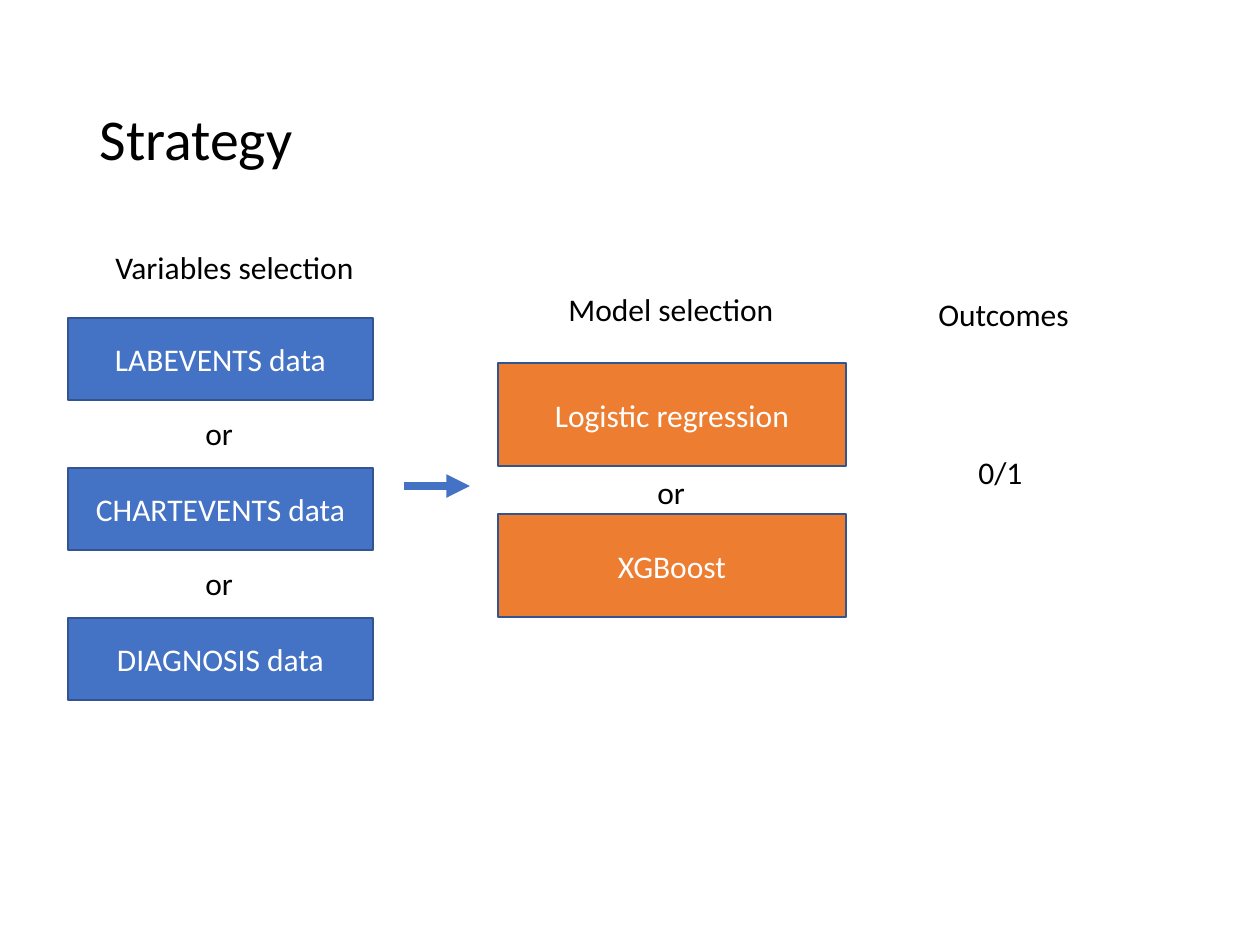
from lxml.etree import SubElement
from pptx import Presentation
from pptx.dml.color import RGBColor
from pptx.enum.shapes import MSO_CONNECTOR, MSO_SHAPE
from pptx.enum.text import MSO_ANCHOR, MSO_AUTO_SIZE, PP_ALIGN
from pptx.oxml.ns import qn
from pptx.util import Emu, Pt

SCALE = 914400 / 126
COLORS = {"text": "000000", "light": "FFFFFF", "data": "4472C4",
          "model": "ED7D31", "border": "325491"}
FONT = {"name": "Calibri", "size": Pt(18), "bold": False}
LABEL = {"word_wrap": False, "auto_size": MSO_AUTO_SIZE.SHAPE_TO_FIT_TEXT}
CENTER = {"word_wrap": True, "vertical_anchor": MSO_ANCHOR.MIDDLE}
DATA = ["LABEVENTS data", "CHARTEVENTS data", "DIAGNOSIS data"]
MODELS = ["Logistic regression", "XGBoost"]
LABELS = [
    ("Variables selection", 103, 242, 267),
    ("Model selection", 556, 284, 233),
    ("Outcomes", 926, 289, 164),
    ("0/1", 966, 447, 71),
]


def px(n):
    """Turn pixels into EMU."""
    return Emu(round(n * SCALE))


def rgb(name):
    """Look up a named colour."""
    return RGBColor.from_string(COLORS[name])


def apply(obj, formats):
    """Set each attribute of a format dict."""
    for key, value in formats.items():
        setattr(obj, key, value)


def write(tf, text, color, frame, align=PP_ALIGN.LEFT, size=18):
    """Put one formatted line into a text frame."""
    apply(tf, frame)
    p = tf.paragraphs[0]
    p.alignment = align
    r = p.add_run()
    r.text = text
    apply(r.font, {**FONT, "size": Pt(size)})
    r.font.color.rgb = rgb(color)
    return p


def add_title(s, text):
    """Fill and place the title placeholder."""
    sp = s.shapes.title
    apply(sp, {"left": px(87), "top": px(50), "width": px(1086), "height": px(183)})
    p = write(sp.text_frame, text, "text", CENTER, size=33)
    p.line_spacing = 0.9


def add_label(s, text, x, y, w, h=50):
    """Add an unwrapped line of text."""
    sp = s.shapes.add_textbox(px(x), px(y), px(w), px(h))
    write(sp.text_frame, text, "text", LABEL)


def add_box(s, text, color, x, y, w, h):
    """Add a filled box with centred text."""
    sp = s.shapes.add_shape(MSO_SHAPE.RECTANGLE, px(x), px(y), px(w), px(h))
    sp.shadow.inherit = False
    sp.fill.solid()
    sp.fill.fore_color.rgb = rgb(color)
    sp.line.color.rgb = rgb("border")
    sp.line.width = Pt(1)
    write(sp.text_frame, text, "light", CENTER, PP_ALIGN.CENTER)


def add_choices(s, names, color, x, y, w, h, step, or_x, or_y):
    """Stack boxes with an "or" between neighbours."""
    for i, name in enumerate(names):
        add_box(s, name, color, x, y + i * step, w, h)
        if i:
            add_label(s, "or", or_x, or_y + (i - 1) * step, 53)


def add_arrow(s, x1, x2, y):
    """Add a thick horizontal arrow."""
    c = s.shapes.add_connector(MSO_CONNECTOR.STRAIGHT, px(x1), px(y), px(x2), px(y))
    c.line.color.rgb = rgb("data")
    c.line.width = Pt(4.5)
    SubElement(c.line._get_or_add_ln(), qn("a:tailEnd"), type="triangle")
    SubElement(c._element.spPr, qn("a:effectLst"))


def main():
    """Build the strategy slide."""
    prs = Presentation()
    prs.slide_width, prs.slide_height = px(1260), px(945)
    s = prs.slides.add_slide(prs.slide_layouts[5])
    add_title(s, "Strategy")
    add_choices(s, DATA, "data", 68, 318, 305, 82, 150, 193, 408)
    add_choices(s, MODELS, "model", 498, 363, 348, 103, 151, 645, 467)
    add_arrow(s, 404, 470, 486)
    for label in LABELS:
        add_label(s, *label)
    prs.save("out.pptx")


if __name__ == "__main__":
    main()
